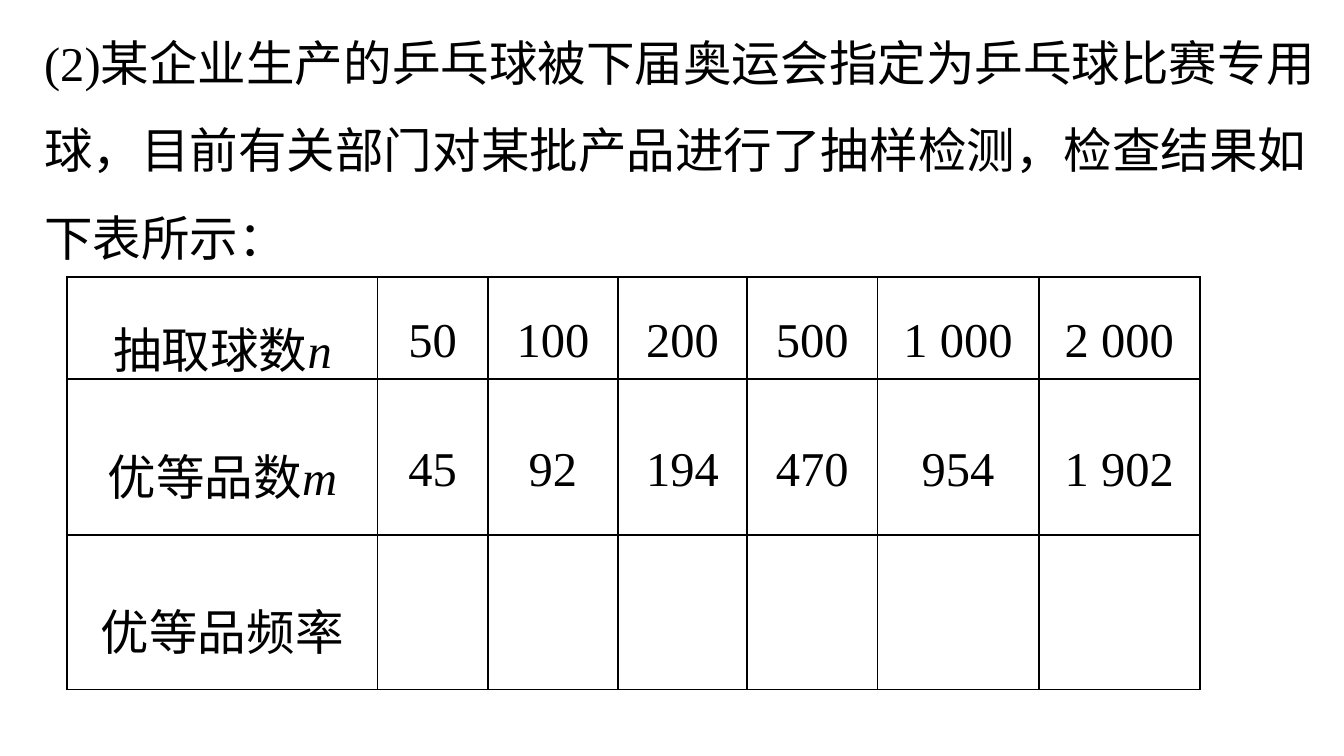
from pptx import Presentation
from pptx.dml.color import RGBColor
from pptx.enum.text import MSO_ANCHOR, MSO_AUTO_SIZE, PP_ALIGN
from pptx.oxml import parse_xml
from pptx.oxml.ns import nsdecls
from pptx.util import Inches, Pt

BLACK = RGBColor(0, 0, 0)
FONT = "Times New Roman"

QUESTION = (
    "(2)某企业生产的乒乓球被下届奥运会指定为乒乓球比赛专用球，"
    "目前有关部门对某批产品进行了抽样检测，检查结果如下表所示："
)

# Each row: label, italic symbol, values
ROWS = [
    ("抽取球数", "n", ["50", "100", "200", "500", "1 000", "2 000"]),
    ("优等品数", "m", ["45", "92", "194", "470", "954", "1 902"]),
    ("优等品频率", "", [""] * 6),
]
COLUMN_WIDTHS = [2.31, 0.82, 0.97, 0.96, 0.97, 1.2, 1.2]
ROW_HEIGHTS = [0.76, 1.16, 1.15]


def write(paragraph, text, symbol=""):
    """Write text, with an optional italic symbol after it."""
    paragraph.text = text
    paragraph.line_spacing = 1.5
    if symbol:
        symbol_run = paragraph.add_run()
        symbol_run.text = symbol
        symbol_run.font.italic = True
    for run in paragraph.runs:
        run.font.name = FONT
        run.font.size = Pt(26)
        run.font.color.rgb = BLACK


def add_question(slide):
    question = slide.shapes.add_textbox(
        Inches(0.23), Inches(-0.02), Inches(9.74), Inches(2)
    )
    frame = question.text_frame
    frame.word_wrap = True
    frame.auto_size = MSO_AUTO_SIZE.SHAPE_TO_FIT_TEXT
    write(frame.paragraphs[0], QUESTION)


def add_borders(cell):
    """Draw a thin black line on all four sides; lines precede the fill."""
    properties = cell._tc.get_or_add_tcPr()
    for position, side in enumerate("LRTB"):
        properties.insert(position, parse_xml(
            f'<a:ln{side} {nsdecls("a")} w="{Pt(1)}"><a:solidFill>'
            f'<a:srgbClr val="{BLACK}"/></a:solidFill></a:ln{side}>'
        ))


def fill_cell(cell, text, symbol=""):
    cell.fill.background()
    add_borders(cell)
    cell.vertical_anchor = MSO_ANCHOR.MIDDLE
    cell.margin_left = cell.margin_right = Inches(0.05)
    cell.margin_top = cell.margin_bottom = 0
    if text:
        paragraph = cell.text_frame.paragraphs[0]
        paragraph.alignment = PP_ALIGN.CENTER
        write(paragraph, text, symbol)


def add_results(slide):
    results = slide.shapes.add_table(
        len(ROW_HEIGHTS), len(COLUMN_WIDTHS), Inches(0.5), Inches(2.06),
        Inches(sum(COLUMN_WIDTHS)), Inches(sum(ROW_HEIGHTS)),
    ).table
    results.first_row = False
    results.horz_banding = False
    for column, width in zip(results.columns, COLUMN_WIDTHS):
        column.width = Inches(width)
    for row, height in zip(results.rows, ROW_HEIGHTS):
        row.height = Inches(height)
    for r, (label, symbol, values) in enumerate(ROWS):
        fill_cell(results.cell(r, 0), label, symbol)
        for c, value in enumerate(values, start=1):
            fill_cell(results.cell(r, c), value)


def main():
    deck = Presentation()
    # Widescreen, 16:9
    deck.slide_width = Inches(10)
    deck.slide_height = Inches(10 * 9 / 16)
    slide = deck.slides.add_slide(deck.slide_layouts[6])
    add_question(slide)
    add_results(slide)
    deck.save("out.pptx")


if __name__ == "__main__":
    main()
